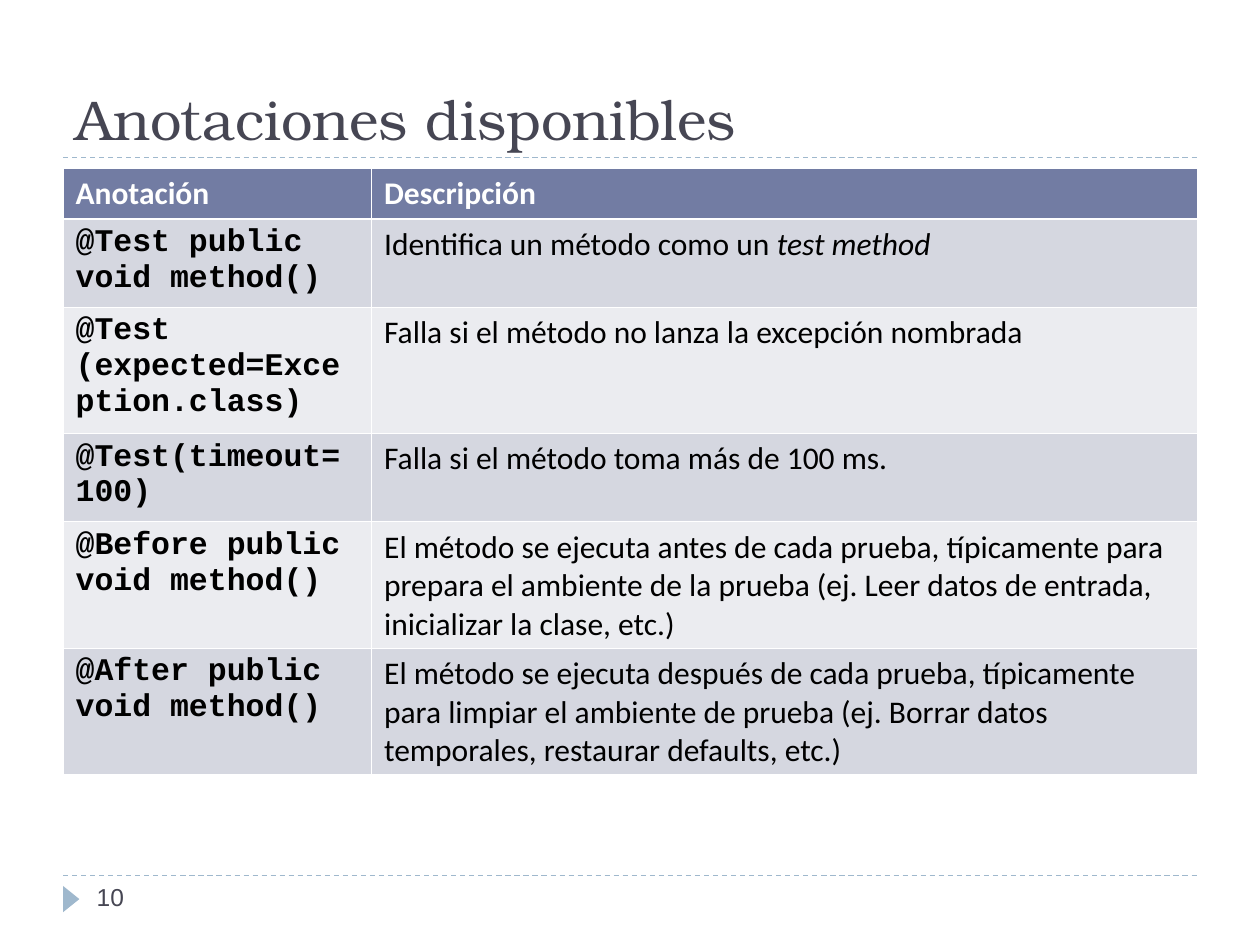
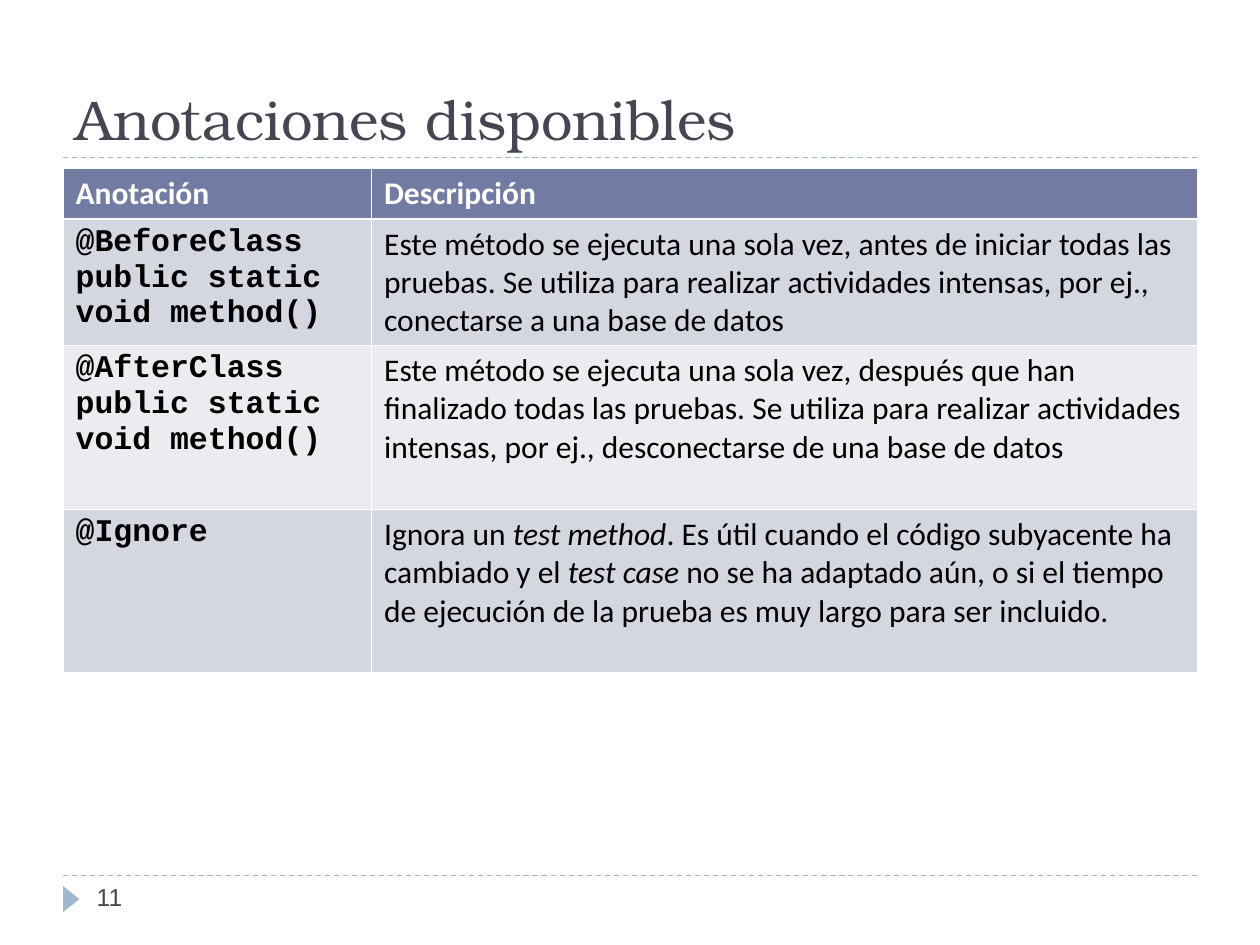
"""Build two slides that list the available test annotations."""
from lxml.etree import SubElement
from pptx import Presentation
from pptx.dml.color import RGBColor
from pptx.enum.dml import MSO_LINE_DASH_STYLE as Dash
from pptx.enum.shapes import MSO_CONNECTOR_TYPE as Connector, MSO_SHAPE as Shape
from pptx.enum.text import MSO_ANCHOR as Anchor
from pptx.oxml import parse_xml
from pptx.oxml.ns import nsdecls, qn
from pptx.util import Cm, Pt

COLORS = {
    "ink": "464653",
    "accent": "9FB8CD",
    "header": "727CA3",
    "odd": "D5D7E0",
    "even": "EBECF0",
    "white": "FFFFFF",
    "black": "000000",
}
FORMATS = {
    "title": {"name": "TeX Gyre Bonum", "size": Pt(32), "color": "ink"},
    "number": {"name": "Arial", "size": Pt(14), "color": "ink"},
    "header": {"name": "Calibri", "size": Pt(18), "bold": True, "color": "white"},
    "code": {"name": "Courier New", "size": Pt(18), "bold": True, "color": "black"},
    "body": {"name": "Calibri", "size": Pt(18), "bold": False, "color": "black"},
}
LEFT, WIDTH = 1.27, 22.86
TITLE_RULE, FOOTER_RULE = 3.18, 17.65
COLUMN_WIDTHS = (6.22, 16.64)
THIN, THICK = 0.45, 1.47
TITLE = "Anotaciones disponibles"
HEADINGS = ("Anotación", "Descripción")
HEADER_HEIGHT = 1.02

ANNOTATION_SLIDES = [
    (10, [
        (1.78, "@Test public void method()",
         "Identifica un método como un *test method*"),
        (2.55, "@Test (expected=Exception.class)",
         "Falla si el método no lanza la excepción nombrada"),
        (1.78, "@Test(timeout=100)",
         "Falla si el método toma más de 100 ms."),
        (2.55, "@Before public void method()",
         "El método se ejecuta antes de cada prueba, típicamente para prepara el "
         "ambiente de la prueba (ej. Leer datos de entrada, inicializar la clase, etc.)"),
        (2.55, "@After public void method()",
         "El método se ejecuta después de cada prueba, típicamente para limpiar el "
         "ambiente de prueba (ej. Borrar datos temporales, restaurar defaults, etc.)"),
    ]),
    (11, [
        (2.55, "@BeforeClass public static void method()",
         "Este método se ejecuta una sola vez, antes de iniciar todas las pruebas. "
         "Se utiliza para realizar actividades intensas, por ej., conectarse a una "
         "base de datos"),
        (3.3, "@AfterClass public static void method()",
         "Este método se ejecuta una sola vez, después que han finalizado todas las "
         "pruebas. Se utiliza para realizar actividades intensas, por ej., "
         "desconectarse de una base de datos"),
        (3.3, "@Ignore",
         "Ignora un *test method*. Es útil cuando el código subyacente ha cambiado y "
         "el *test case* no se ha adaptado aún, o si el tiempo de ejecución de la "
         "prueba es muy largo para ser incluido."),
    ]),
]


def rgb(color):
    return RGBColor.from_string(COLORS[color])


class Deck:
    def __init__(self):
        self.presentation = Presentation()
        self.presentation.slide_width = Cm(25.4)
        self.presentation.slide_height = Cm(19.05)
        self.slide = None

    def add_slide(self, number):
        self.slide = self.presentation.slides.add_slide(self.presentation.slide_layouts[6])
        for height in (FOOTER_RULE, TITLE_RULE):
            self.rule(height)
        self.marker()
        self.text(TITLE, "title", LEFT, 0.43, WIDTH, 2.75, Anchor.BOTTOM)
        self.text(str(number), "number", 1.7, FOOTER_RULE, 5.5, 1.02, Anchor.TOP)

    def rule(self, top):
        line = self.slide.shapes.add_connector(
            Connector.STRAIGHT, Cm(LEFT), Cm(top), Cm(LEFT + WIDTH), Cm(top))
        line.line.color.rgb = rgb("accent")
        line.line.width = Pt(0.75)
        line.line.dash_style = Dash.DASH
        SubElement(line._element.spPr, qn("a:effectLst"))

    def marker(self):
        triangle = self.slide.shapes.add_shape(
            Shape.ISOSCELES_TRIANGLE, Cm(1.17), Cm(17.96), Cm(0.53), Cm(0.33))
        triangle.rotation = 90
        triangle.shadow.inherit = False
        triangle.fill.solid()
        triangle.fill.fore_color.rgb = rgb("accent")
        triangle.line.fill.background()

    def text(self, text, style, left, top, width, height, anchor):
        box = self.slide.shapes.add_textbox(Cm(left), Cm(top), Cm(width), Cm(height))
        box.text_frame.word_wrap = True
        box.text_frame.vertical_anchor = anchor
        self.add_runs(box.text_frame, text, style)

    def add_runs(self, frame, text, style):
        paragraph = frame.paragraphs[0]
        for index, part in enumerate(text.split("*")):
            if not part:
                continue
            run = paragraph.add_run()
            run.text = part
            for name, value in FORMATS[style].items():
                if name == "color":
                    run.font.color.rgb = rgb(value)
                else:
                    setattr(run.font, name, value)
            run.font.italic = index % 2 == 1

    def table(self, rows):
        heights = [HEADER_HEIGHT] + [height for height, *_ in rows]
        table = self.slide.shapes.add_table(
            len(heights), len(COLUMN_WIDTHS), Cm(LEFT), Cm(3.39),
            Cm(WIDTH), Cm(sum(heights))).table
        for column, width in zip(table.columns, COLUMN_WIDTHS):
            column.width = Cm(width)
        for row, height in zip(table.rows, heights):
            row.height = Cm(height)
        self.table_row(table, 0, HEADINGS, ("header", "header"), "header")
        for index, (_, *texts) in enumerate(rows, start=1):
            band = "odd" if index % 2 else "even"
            self.table_row(table, index, texts, ("code", "body"), band)

    def table_row(self, table, index, texts, styles, fill):
        borders = {"L": THIN, "R": THIN,
                   "T": THICK if index == 1 else THIN,
                   "B": THICK if index == 0 else THIN}
        for column, (text, style) in enumerate(zip(texts, styles)):
            cell = table.cell(index, column)
            cell.fill.solid()
            cell.fill.fore_color.rgb = rgb(fill)
            self.add_runs(cell.text_frame, text, style)
            self.cell_borders(cell, borders)

    def cell_borders(self, cell, borders):
        properties = cell._tc.get_or_add_tcPr()
        for position, (side, width) in enumerate(borders.items()):
            properties.insert(position, parse_xml(
                f'<a:ln{side} {nsdecls("a")} w="{int(Pt(width))}"><a:solidFill>'
                f'<a:srgbClr val="{COLORS["white"]}"/></a:solidFill></a:ln{side}>'))


def main():
    deck = Deck()
    for number, rows in ANNOTATION_SLIDES:
        deck.add_slide(number)
        deck.table(rows)
    deck.presentation.save("out.pptx")


if __name__ == "__main__":
    main()
